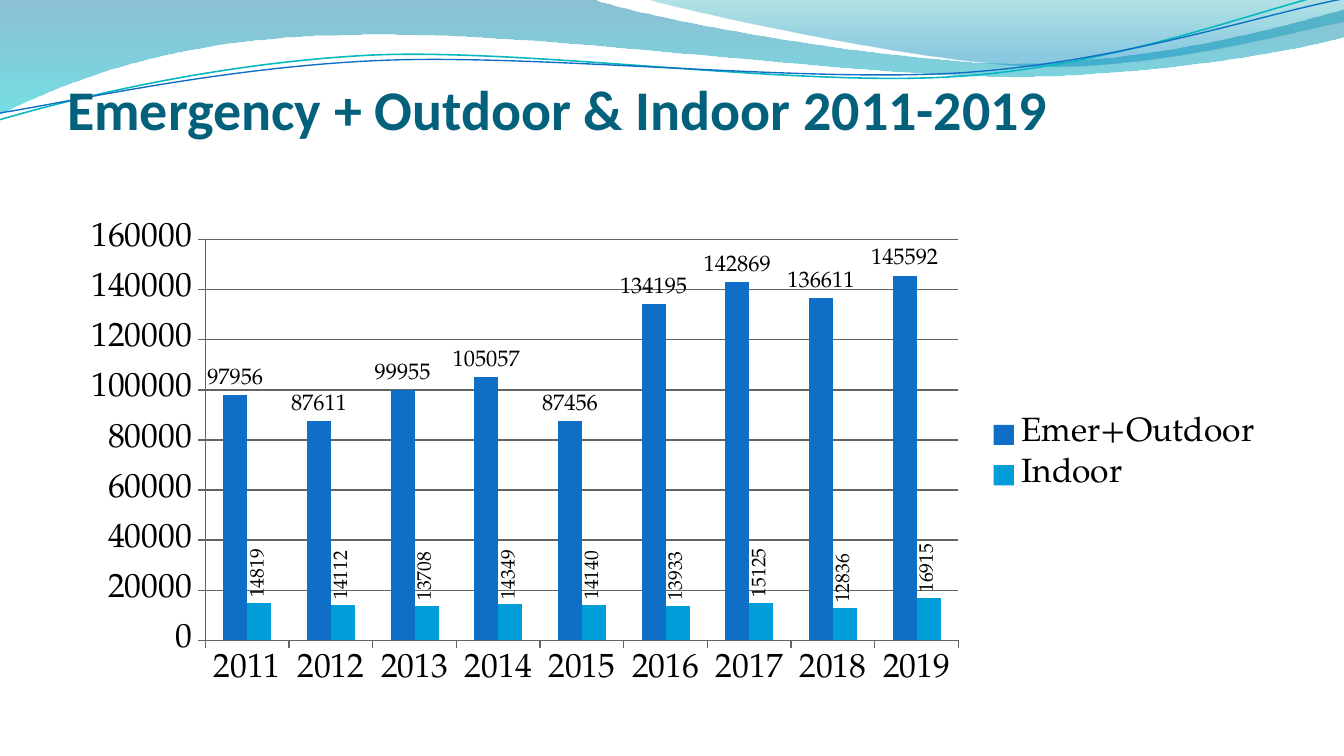
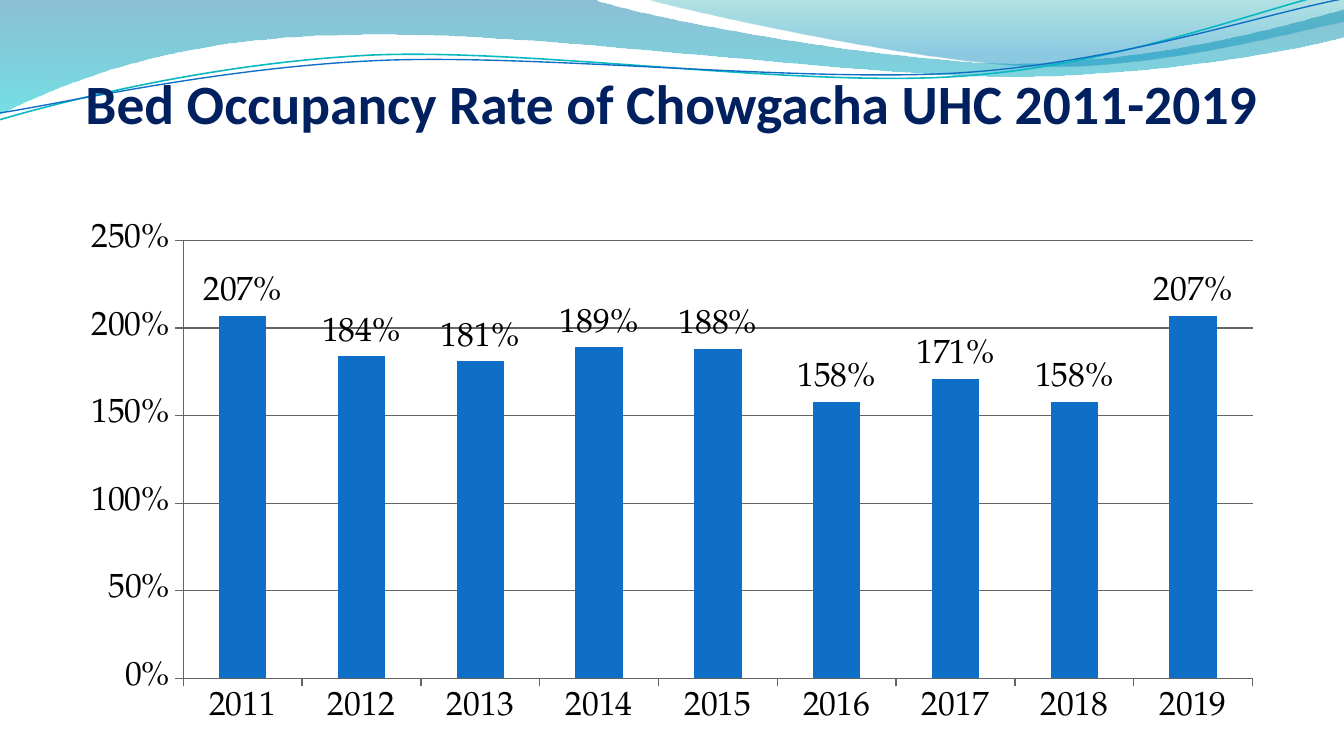
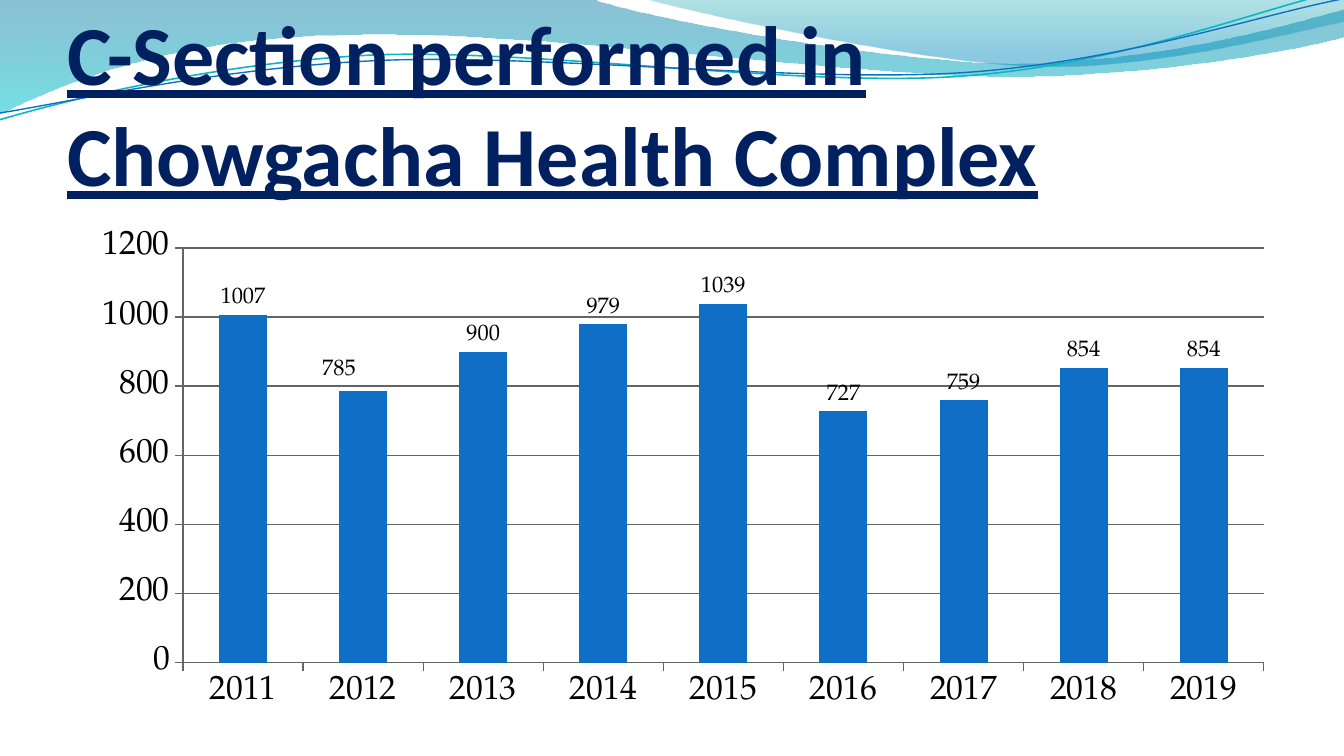
from dataclasses import dataclass
from lxml import etree
from pptx import Presentation
from pptx.chart.data import CategoryChartData
from pptx.dml.color import RGBColor as RGB
from pptx.enum.chart import (XL_CHART_TYPE as CHART, XL_LABEL_POSITION as LABEL_POS,
                             XL_LEGEND_POSITION as LEGEND_POS, XL_TICK_MARK as TICK)
from pptx.enum.text import MSO_ANCHOR as ANCHOR, MSO_AUTO_SIZE as AUTO, PP_ALIGN as ALIGN
from pptx.oxml import parse_xml
from pptx.oxml.ns import nsdecls, qn
from pptx.util import Pt


@dataclass(frozen=True)
class Theme:
    teal: str = "04617B"
    navy: str = "002060"
    blue: str = "0F6FC6"
    sky: str = "009DD9"
    aqua: str = "0AB8BF"
    text: str = "000000"
    grid: str = "646464"
    title_font: str = "Calibri"
    chart_font: str = "TeX Gyre Pagella"
    title_size: float = 30
    wide_title_size: float = 29.7
    big_title_size: float = 45
    chart_size: float = 18
    label_size: float = 12
    small_label_size: float = 10.5


T = Theme()
YEARS = [str(year) for year in range(2011, 2020)]


def write_title(sp, text, *, at, size, color, underline=None, align=ALIGN.LEFT,
                anchor=ANCHOR.BOTTOM, side_inset=0):
    sp.left, sp.top, sp.width, sp.height = [Pt(v) for v in at]
    tf = sp.text_frame
    tf.word_wrap, tf.auto_size, tf.vertical_anchor = True, AUTO.NONE, anchor
    tf.margin_left = tf.margin_right = Pt(side_inset)
    tf.margin_top = Pt(3.6)
    tf.margin_bottom = Pt(3.6 if side_inset else 0)
    p = tf.paragraphs[0]
    p.alignment = align
    r = p.add_run()
    r.text = text
    r.font.name, r.font.size, r.font.bold = T.title_font, Pt(size), True
    r.font.underline = underline
    r.font.color.rgb = RGB.from_string(color)


def trace(shapes, start, segments, closed):
    """Build an outline from lines (x, y) and Bezier curves (three x, y pairs)."""
    builder = shapes.build_freeform(Pt(start[0]), Pt(start[1]))
    builder.add_line_segments([(Pt(seg[-2]), Pt(seg[-1])) for seg in segments], close=closed)
    sp = builder.convert_to_shape()
    sp.shadow.inherit = False
    # Turn the straight steps that stand for curves into Bezier steps
    for step, seg in zip(list(sp.element.iter(qn("a:lnTo"))), segments):
        if len(seg) == 6:
            curve = etree.Element(qn("a:cubicBezTo"))
            for x, y in zip(seg[::2], seg[1::2]):
                pt = etree.SubElement(curve, qn("a:pt"))
                pt.set("x", str(Pt(x) - sp.left))
                pt.set("y", str(Pt(y) - sp.top))
            step.getparent().replace(step, curve)
    return sp


prs = Presentation()
prs.slide_width, prs.slide_height = Pt(720), Pt(405)
slides = [prs.slides.add_slide(prs.slide_layouts[5]) for _ in range(3)]
shapes = slides[0].shapes

# Wave bands: start, segments, gradient stops (position, colour, opacity %)
bands = [
    ((0, 0),
     [(316.8, -0.7), (342.7, 9.4, 478.1, 33.8, 545.8, 33.8),
      (614.2, 33.8, 689.8, 13.7, 720, 5), (720.7, 19.4),
      (707.8, 23.8, 626.4, 41, 537.1, 41), (447.8, 40.3, 275, 15.1, 185, 18.7),
      (92.9, 19.4, 33.1, 44.6, -0.7, 61.2)],
     [(0, "0074A1", 45), (1, "00C6CF", 55)]),
    ((344.9, -0.7),
     [(366.5, 5.8, 491, 33.1, 553.7, 35.3), (616.3, 37.4, 691.9, 17.3, 720, 11.5), (720, 0)],
     [(0, "00A1A9", 30), (0.8, "008BBF", 45)]),
]
waves = []
for start, segments, stops in bands:
    sp = trace(shapes, start, segments, True)
    sp.line.fill.background()
    sp.fill.gradient()
    sp.fill.gradient_angle = 270
    for stop, gs, (pos, color, opacity) in zip(sp.fill.gradient_stops,
                                               sp.element.iter(qn("a:gs")), stops):
        stop.position, stop.color.rgb = pos, RGB.from_string(color)
        etree.SubElement(gs[0], qn("a:alpha")).set("val", str(opacity * 1000))
    waves.append(sp)

# Wave lines
lines = [
    ((0, 64.1),
     [(34.6, 54, 113.8, 33.8, 199.4, 29.5), (285.1, 25.9, 426.2, 46.8, 512.6, 41),
      (599.8, 35.3, 676.1, 4.3, 718.6, -5)], T.aqua, 0.85),
    ((0, 60.5),
     [(33.8, 55.4, 118.1, 36, 203.8, 32.4), (290.2, 28.8, 429.8, 44.6, 516.2, 38.9),
      (601.9, 33.1, 677.5, 7.2, 720, -0.7)], T.blue, 0.75),
]
for start, segments, color, width in lines:
    sp = trace(shapes, start, segments, False)
    sp.fill.background()
    sp.line.color.rgb, sp.line.width = RGB.from_string(color), Pt(width)
    waves.append(sp)

# The waves belong to the master, behind its placeholders
first = prs.slide_master.shapes[0].element
for sp in waves:
    first.addprevious(sp.element)

# Titles
titles = [
    dict(text="Emergency + Outdoor & Indoor 2011-2019", at=(36, 8.6, 648, 67.5),
         size=T.title_size, color=T.teal),
    dict(text="Bed Occupancy Rate of Chowgacha UHC 2011-2019", at=(27, 20.9, 666, 67.5),
         size=T.wide_title_size, color=T.navy, align=ALIGN.CENTER, anchor=ANCHOR.MIDDLE,
         side_inset=7.2),
    dict(text="C-Section performed in Chowgacha Health Complex", at=(36, 41.5, 648, 67.5),
         size=T.big_title_size, color=T.navy, underline=True),
]
for s, title in zip(slides, titles):
    write_title(s.shapes.title, **title)

# Charts: place, number format, axis top and step, series (name, colour, label size, values)
charts = [
    ((36, 114.2, 648, 259.2), "General", 160000, 20000, [
        ("Emer+Outdoor", T.blue, T.label_size,
         [97956, 87611, 99955, 105057, 87456, 134195, 142869, 136611, 145592]),
        ("Indoor", T.sky, T.small_label_size,
         [14819, 14112, 13708, 14349, 14140, 13933, 15125, 12836, 16915])]),
    ((36, 114.2, 648, 280), "0%", 2.5, 0.5, [
        ("Series 1", T.blue, T.chart_size,
         [2.07, 1.84, 1.81, 1.89, 1.88, 1.58, 1.71, 1.58, 2.07])]),
    ((42, 118.5, 648, 267), "General", 1200, 200, [
        ("Series 1", T.blue, T.label_size,
         [1007, 785, 900, 979, 1039, 727, 759, 854, 854])]),
]
built = []
for s, (at, fmt, top, step, series) in zip(slides, charts):
    data = CategoryChartData(number_format=fmt)
    data.categories = YEARS
    for name, _, _, values in series:
        data.add_series(name, values)
    chart = s.shapes.add_chart(CHART.COLUMN_CLUSTERED, *[Pt(v) for v in at], data).chart
    chart.has_title = False
    chart.font.name, chart.font.size = T.chart_font, Pt(T.chart_size)
    chart.font.color.rgb = RGB.from_string(T.text)
    chart.has_legend = len(series) > 1
    if chart.has_legend:
        chart.legend.position = LEGEND_POS.RIGHT
        chart.legend.include_in_layout = False

    val, cat = chart.value_axis, chart.category_axis
    val.minimum_scale, val.maximum_scale, val.major_unit = 0, top, step
    val.tick_labels.number_format = fmt
    val.tick_labels.number_format_is_linked = False
    val.has_major_gridlines = True
    for line in (val.format.line, cat.format.line, val.major_gridlines.format.line):
        line.color.rgb, line.width = RGB.from_string(T.grid), Pt(0.75)
    for axis in (val, cat):
        axis.major_tick_mark, axis.minor_tick_mark = TICK.OUTSIDE, TICK.NONE

    plot = chart.plots[0]
    plot.gap_width, plot.overlap, plot.vary_by_categories = 150, 0, False
    for ser, (_, color, size, _) in zip(plot.series, series):
        ser.format.fill.solid()
        ser.format.fill.fore_color.rgb = RGB.from_string(color)
        labels = ser.data_labels
        labels.show_value, labels.position = True, LABEL_POS.OUTSIDE_END
        labels.number_format, labels.number_format_is_linked = fmt, False
        labels.font.size, labels.font.name = Pt(size), T.chart_font
        labels.font.color.rgb = RGB.from_string(T.text)
    built.append(chart)

# Upright labels on the Indoor columns
for body in built[0].element.xpath(".//c:ser[2]/c:dLbls/c:txPr/a:bodyPr"):
    body.set("rot", "-5400000")
    body.set("vert", "horz")

# The 2012 C-section label sits a little to the left
label = built[2].plots[0].series[0].points[1].data_label
label.position = LABEL_POS.OUTSIDE_END
label.font.size, label.font.name = Pt(T.label_size), T.chart_font
label.font.color.rgb = RGB.from_string(T.text)
idx = built[2].element.xpath(".//c:dLbl/c:idx")[0]
idx.addnext(parse_xml(f'<c:layout {nsdecls("c")}><c:manualLayout>'
                      '<c:x val="-0.02"/><c:y val="-0.01"/>'
                      '</c:manualLayout></c:layout>'))

prs.save("out.pptx")
